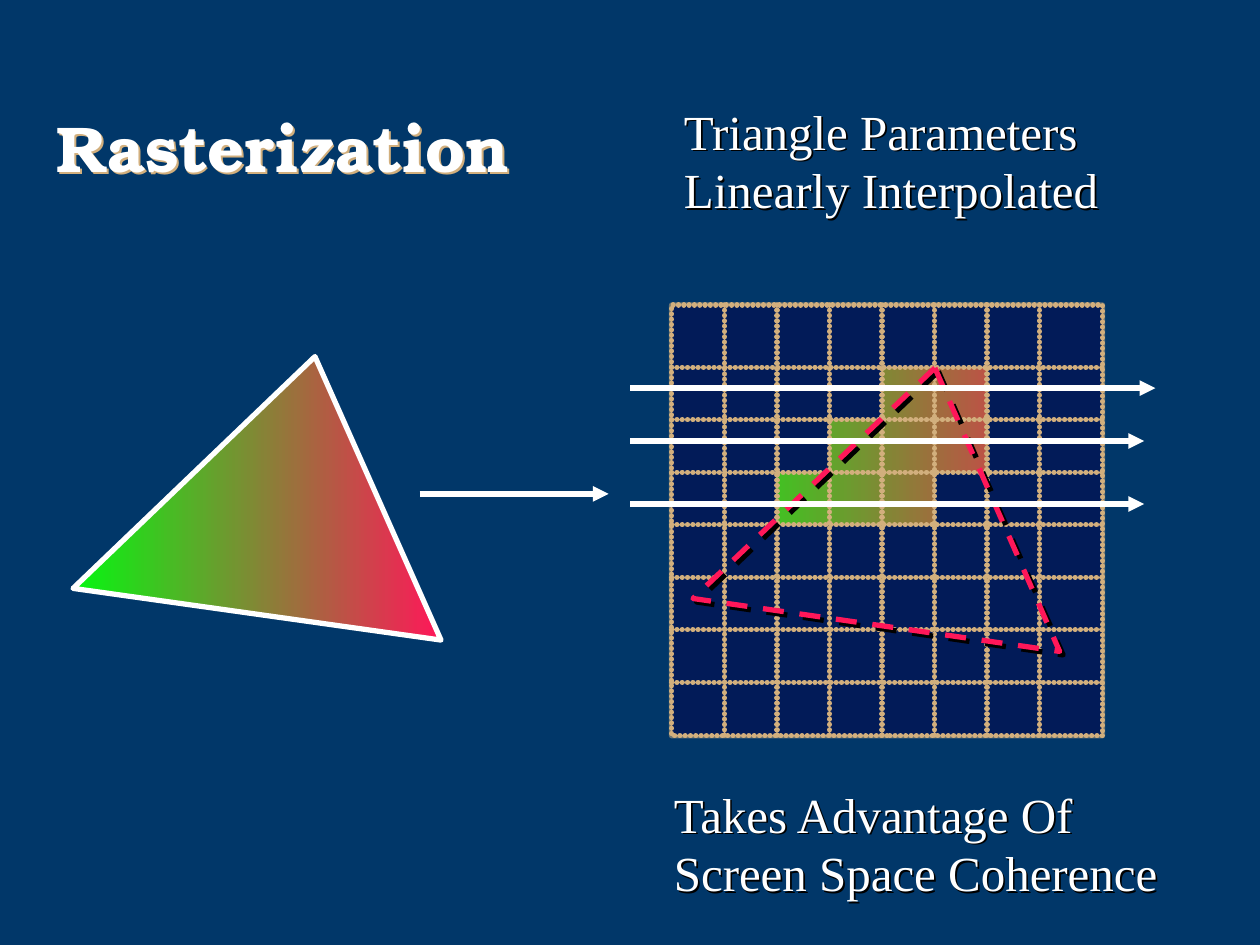
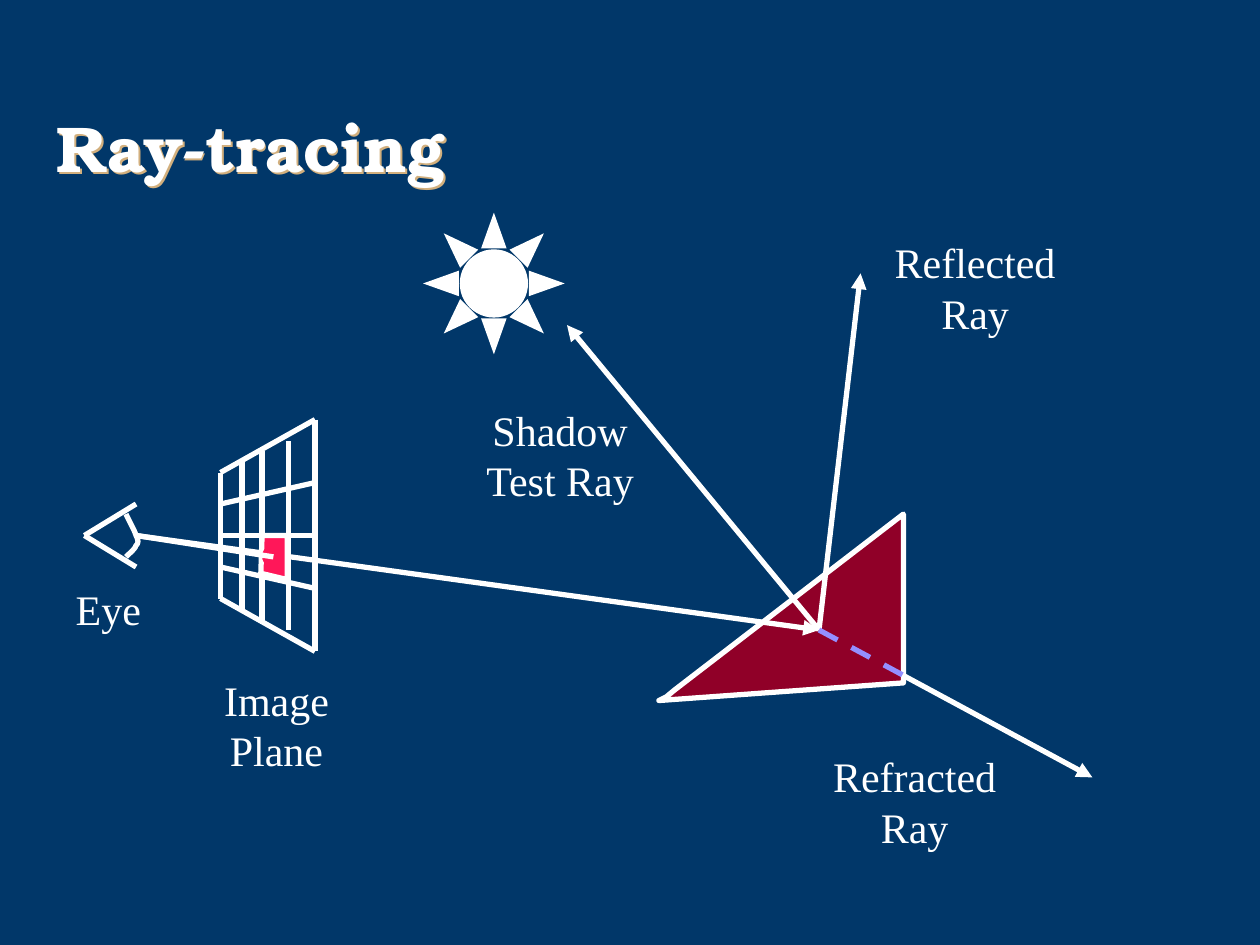
import pptx
import pptx.dml.color
import pptx.enum.dml
import pptx.enum.shapes
import pptx.enum.text
import pptx.oxml
import pptx.oxml.ns
import pptx.util
from lxml import etree
from pptx.util import Inches

COLORS = {
    "background": "013769", "white": "FFFFFF", "tan": "D2AF7D",
    "navy": "021B58", "pink": "FF1759", "green": "05F711",
    "maroon": "900028", "violet": "948FFF", "black": "000000",
}
TITLE_FONT, BODY_FONT = "TeX Gyre Bonum", "Times New Roman"
LINE_WIDTH = 3
TEXT_SHADOW, SHAPE_SHADOW = 1.4, 2.8  # shadow distances in points
SHAPES = pptx.enum.shapes.MSO_SHAPE
ALIGN = pptx.enum.text.PP_ALIGN

# Rasterization: the pixel grid and what covers its gradient
GRID_LEFT, GRID_TOP, GRID_SIZE = 5.33, 2.42, 3.42
CELL = 5 / 12
COLUMN_LINES = [5.75 + CELL * i for i in range(7)]
ROW_LINES = [2.915 + CELL * i for i in range(7)]
GRID_BOX = (GRID_LEFT, GRID_TOP, GRID_SIZE, GRID_SIZE)
DARK_BLOCKS = [
    (5.33, 4.17, 3.42, 1.67), (5.33, 2.92, 0.83, 1.25),
    (5.33, 2.42, 3.42, 0.5), (8.25, 2.92, 0.5, 1.25),
]
DARK_CELLS = [(4, 2), (5, 2), (1, 0), (2, 0), (1, 1), (5, 0), (5, 1)]  # column, row
SOURCE_TRIANGLE = [(2.5, 2.83), (0.58, 4.67), (3.5, 5.08)]
GRID_TRIANGLE = [(7.42, 2.92), (5.5, 4.75), (8.41, 5.17)]
SCAN_ARROWS = [(3.33, 3.92, 4.83), (5, 3.08, 9.17), (5, 3.5, 9.08), (5, 4, 9.08)]
RASTER_LABELS = [
    (["Triangle Parameters", "Linearly Interpolated"], (5.33, 0.75, 3.49, 1.04)),
    (["Takes Advantage Of", "Screen Space Coherence"], (5.25, 6.17, 4.04, 1.04)),
]

# Ray-tracing: the scene
EYE, PUPIL, HIT, EXIT = (0.67, 4.25), (1.08, 4.25), (6.5, 5), (7.17, 5.36)
LID_ENDS = [(1.08, 4), (1.08, 4.5)]
PUPIL_CURVES = [
    [(1, 4.42), (1.03, 4.39), (1.07, 4.36), (1.08, 4.33)],
    [(1.08, 4.33), (1.1, 4.31), (1.1, 4.29), (1.08, 4.25)],
    [(1.08, 4.25), (1.07, 4.21), (1.01, 4.11), (1, 4.08)],
]
PLANE_LEFT, PLANE_RIGHT = 1.75, 2.5
PLANE_ROWS = [(4.25, 4.25), (4, 3.83), (3.75, 3.33), (4.5, 4.67), (4.75, 5.17)]
PLANE_COLUMNS = [(1.75, 3.75, 4.75), (2.5, 3.33, 5.17), (2.08, 3.58, 4.92),
                 (2.29, 3.5, 5), (1.92, 3.67, 4.75), (1.92, 4.75, 4.83)]
PIXEL = [(2.08, 4.25), (2.28, 4.25), (2.28, 4.6), (2.07, 4.55)]
SURFACE = [(5.23, 5.56), (5.29, 5.53), (5.35, 5.48), (7.17, 4.08), (7.17, 5.42)]
RAY_TARGETS = [(6.83, 2.17), (4.5, 2.58)]
RAY_LABELS = [
    (["Eye"], (0.5, 4.58, 0.72, 0.5)),
    (["Image", "Plane"], (1.68, 5.3, 1.03, 0.9)),
    (["Shadow", "Test Ray"], (3.75, 3.16, 1.39, 0.9)),
    (["Reflected", "Ray"], (6.94, 1.83, 1.6, 0.9)),
    (["Refracted", "Ray"], (6.46, 5.91, 1.6, 0.9)),
]


def rgb(name):
    return pptx.dml.color.RGBColor.from_string(COLORS[name])


def add_tag(parent, tag, **attributes):
    element = etree.SubElement(parent, pptx.oxml.ns.qn(tag))
    for name, value in attributes.items():
        element.set(name, str(value))
    return element


def style_line(line, color, style="solid", arrow=False, join="a:round"):
    """Set a line's colour, dash pattern, joins and arrowhead."""
    line.color.rgb = rgb(color)
    line.width = pptx.util.Pt(LINE_WIDTH)
    if style == "dash":
        line.dash_style = pptx.enum.dml.MSO_LINE.DASH
    outline = line._get_or_add_ln()
    if style == "dots":
        outline.set("cap", "rnd")
        add_tag(add_tag(outline, "a:custDash"), "a:ds", d=1000, sp=100000)
    joint = add_tag(outline, join)
    if join == "a:miter":
        joint.set("lim", "800000")
    if arrow:
        add_tag(outline, "a:tailEnd", type="triangle")


def paint(shape, fill=None, line=None, **line_look):
    """Give a shape its fill ("gradient", a colour or none) and its line."""
    shape.shadow.inherit = False
    if fill == "gradient":
        shape.fill.gradient()
        shape.fill.gradient_angle = 180
        for stop, color in zip(shape.fill.gradient_stops, ("pink", "green")):
            stop.color.rgb = rgb(color)
    elif fill:
        shape.fill.solid()
        shape.fill.fore_color.rgb = rgb(fill)
    else:
        shape.fill.background()
    if line:
        style_line(shape.line, line, **line_look)
    else:
        shape.line.fill.background()
    return shape


def cast_shadow(shape, color, distance):
    shape.shadow.inherit = False
    effects = shape.element.spPr.find(pptx.oxml.ns.qn("a:effectLst"))
    shadow = add_tag(effects, "a:outerShdw", dist=pptx.util.Pt(distance), dir=2700000,
                     algn="ctr", rotWithShape=0)
    add_tag(shadow, "a:srgbClr", val=COLORS[color])


def add_box(page, kind, bounds, **look):
    return paint(page.shapes.add_shape(kind, *map(Inches, bounds)), **look)


def add_outline(page, points, closed=True, **look):
    corners = [(Inches(x), Inches(y)) for x, y in points]
    builder = page.shapes.build_freeform(*corners[0])
    builder.add_line_segments(corners[1:], close=closed)
    return paint(builder.convert_to_shape(), **look)


def add_line(page, start, end, color="white", style="solid", arrow=False):
    line = page.shapes.add_connector(
        pptx.enum.shapes.MSO_CONNECTOR.STRAIGHT, *map(Inches, (*start, *end)))
    style_line(line.line, color, style, arrow)
    add_tag(line.element.spPr, "a:effectLst")


def add_text(page, lines, bounds, size, font=BODY_FONT, align=ALIGN.LEFT,
             bold=False, spacing=None, wrap=False, shadow=None):
    box = page.shapes.add_textbox(*map(Inches, bounds))
    frame = box.text_frame
    frame.word_wrap = wrap
    if not wrap:
        frame.auto_size = pptx.enum.text.MSO_AUTO_SIZE.SHAPE_TO_FIT_TEXT
    frame.vertical_anchor = pptx.enum.text.MSO_ANCHOR.MIDDLE
    for number, text in enumerate(lines):
        para = frame.add_paragraph() if number else frame.paragraphs[0]
        para.alignment = align
        if spacing:
            para.line_spacing = spacing
        span = para.add_run()
        span.text = text
        span.font.name, span.font.bold = font, bold
        span.font.size = pptx.util.Pt(size)
        span.font.color.rgb = rgb("white")
    if shadow:
        cast_shadow(box, shadow, TEXT_SHADOW)


def add_page(deck, title):
    page = deck.slides.add_slide(deck.slide_layouts[6])
    page.background.fill.solid()
    page.background.fill.fore_color.rgb = rgb("background")
    add_text(page, [title], (0.35, 0.39, 6.99, 1.52), 37, TITLE_FONT,
             bold=True, spacing=1.05, wrap=True, shadow="tan")
    return page


def curve_points(curve, steps=6):
    """Points along a cubic curve."""
    for step in range(steps + 1):
        t = step / steps
        weights = ((1 - t) ** 3, 3 * t * (1 - t) ** 2, 3 * t * t * (1 - t), t ** 3)
        yield tuple(sum(w * p[axis] for w, p in zip(weights, curve)) for axis in (0, 1))


def build_rasterization(deck):
    page = add_page(deck, "Rasterization")

    # Gradient square with all but the shaded pixels covered
    add_box(page, SHAPES.RECTANGLE, GRID_BOX, fill="gradient")
    border = add_box(page, SHAPES.RECTANGLE, GRID_BOX, line="tan")
    add_tag(border.element.spPr.find(".//" + pptx.oxml.ns.qn("a:srgbClr")),
            "a:alpha", val=50000)
    cells = [(COLUMN_LINES[0] + CELL * column, ROW_LINES[0] + CELL * row, CELL, CELL)
             for column, row in DARK_CELLS]
    for bounds in DARK_BLOCKS + cells:
        add_box(page, SHAPES.RECTANGLE, bounds, fill="navy")
    add_outline(page, SOURCE_TRIANGLE, fill="gradient", line="white")

    # Dotted grid
    for x in COLUMN_LINES:
        add_line(page, (x, GRID_TOP), (x, GRID_TOP + GRID_SIZE), "tan", "dots")
    add_box(page, SHAPES.RECTANGLE, GRID_BOX, line="tan", style="dots")
    for y in ROW_LINES:
        add_line(page, (GRID_LEFT, y), (GRID_LEFT + GRID_SIZE, y), "tan", "dots")

    # Projected triangle, scan lines and labels
    projection = add_outline(page, GRID_TRIANGLE, line="pink", style="dash")
    cast_shadow(projection, "black", SHAPE_SHADOW)
    for left, y, right in SCAN_ARROWS:
        add_line(page, (left, y), (right, y), arrow=True)
    for lines, bounds in RASTER_LABELS:
        add_text(page, lines, bounds, 28, shadow="black")


def build_ray_tracing(deck):
    page = add_page(deck, "Ray-tracing")
    add_line(page, HIT, (8.67, 6.17), arrow=True)

    # Eye
    for end in LID_ENDS:
        add_line(page, EYE, end)
    pupil = [point for curve in PUPIL_CURVES for point in curve_points(curve)]
    add_outline(page, pupil, closed=False, line="white")

    # Image plane
    for left_y, right_y in PLANE_ROWS:
        add_line(page, (PLANE_LEFT, left_y), (PLANE_RIGHT, right_y))
    for x, top, bottom in PLANE_COLUMNS:
        add_line(page, (x, top), (x, bottom))

    # Surface, lit pixel and rays
    add_outline(page, SURFACE, fill="maroon", line="white")
    add_line(page, PUPIL, HIT, arrow=True)
    add_outline(page, PIXEL, fill="pink", line="white")
    add_box(page, SHAPES.OVAL, (2.08, 4.33, 0.17, 0.17), fill="pink")
    add_line(page, PUPIL, (2.17, 4.42))
    for target in RAY_TARGETS:
        add_line(page, HIT, target, arrow=True)
    add_line(page, HIT, EXIT, "violet", "dash")

    # Light and labels
    add_box(page, SHAPES.SUN, (3.42, 1.75, 1, 1), fill="white", line="white",
            join="a:miter")
    for lines, bounds in RAY_LABELS:
        add_text(page, lines, bounds, 24, align=ALIGN.CENTER)


def main():
    deck = pptx.Presentation()
    deck.slide_width, deck.slide_height = Inches(10), Inches(7.5)
    build_rasterization(deck)
    build_ray_tracing(deck)
    deck.save("out.pptx")


if __name__ == "__main__":
    main()
